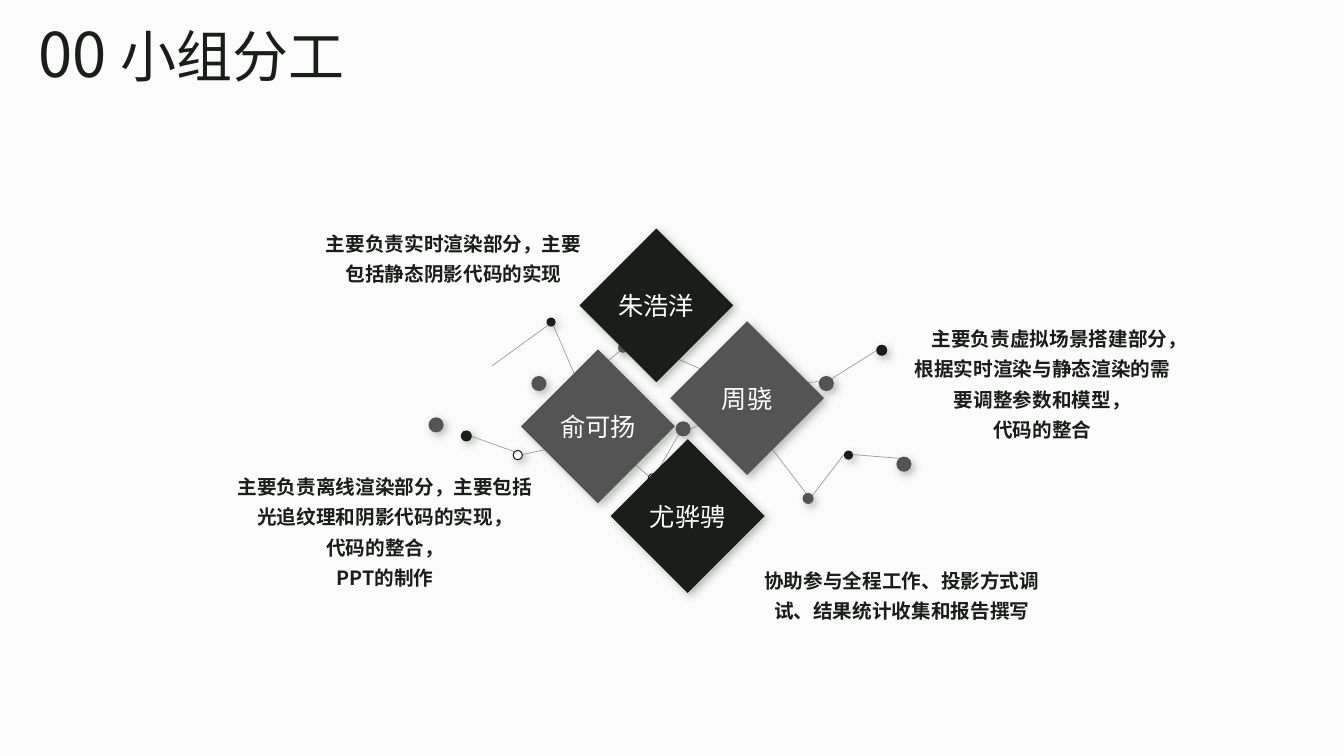
import pptx
import pptx.util
import pptx.dml.color
import pptx.enum.shapes
import pptx.enum.text
import pptx.oxml
import pptx.oxml.ns
from dataclasses import dataclass

SCALE = 9144
SHAPE = pptx.enum.shapes.MSO_SHAPE
ALIGN = pptx.enum.text.PP_ALIGN
ANCHOR = pptx.enum.text.MSO_ANCHOR
NS = pptx.oxml.ns.nsdecls("a")


@dataclass(frozen=True)
class Theme:
    font: str = "Noto Sans CJK SC"
    paper: str = "FBFBFB"
    ink: str = "1A1D1A"
    grey: str = "545454"
    white: str = "FFFFFF"
    shadow: str = "505950"
    number: int = 44
    title: int = 40
    name: int = 18
    duty: int = 14
    duty_spacing: float = 1.3


T = Theme()


def px(n):
    return pptx.util.Emu(round(n * SCALE))


def rgb(color):
    return pptx.dml.color.RGBColor.from_string(color)


def add_run(p, text, size, color, bold=False):
    r = p.add_run()
    r.text = text
    r.font.size = pptx.util.Pt(size)
    r.font.bold = bold
    r.font.name = T.font
    r.font.color.rgb = rgb(color)
    ea = pptx.oxml.parse_xml(f'<a:ea {NS} typeface="{T.font}"/>')
    r.font._element.append(ea)


def add_text_box(s, left, top, width, height):
    tf = s.shapes.add_textbox(px(left), px(top), px(width), px(height)).text_frame
    tf.word_wrap = True
    return tf


def add_shadowed(s, kind, left, top, size, fill):
    sp = s.shapes.add_shape(kind, px(left), px(top), px(size), px(size))
    sp.fill.solid()
    sp.fill.fore_color.rgb = rgb(fill)
    sp.line.fill.background()
    sp.shadow.inherit = False
    effects = sp._element.spPr.find(pptx.oxml.ns.qn("a:effectLst"))
    effects.append(pptx.oxml.parse_xml(
        f'<a:outerShdw {NS} blurRad="76200" dist="38100" dir="2700000" algn="tl" rotWithShape="0">'
        f'<a:srgbClr val="{T.shadow}"><a:alpha val="40000"/></a:srgbClr></a:outerShdw>'))
    return sp


def add_title(s, left, top, width, height):
    sp = s.shapes.title
    sp.left, sp.top, sp.width, sp.height = px(left), px(top), px(width), px(height)
    tf = sp.text_frame
    tf.auto_size = pptx.enum.text.MSO_AUTO_SIZE.NONE
    tf.vertical_anchor = ANCHOR.MIDDLE
    p = tf.paragraphs[0]
    p.alignment = ALIGN.LEFT
    add_run(p, "00 ", T.number, T.ink)
    add_run(p, "小组分工", T.title, T.ink)


def add_network(s, left, top):
    links = [
        (395, 63, 357, 66), (393, 65, 444, 33), (282, 100, 255, 113),
        (93, 136, 168, 120), (43, 118, 85, 133), (219, 158, 172, 117),
        (225, 156, 250, 113), (421, 136, 471, 140), (379, 179, 412, 136),
        (378, 179, 332, 119), (190, 33, 152, 65), (240, 38, 272, 52),
        (63, 48, 118, 8), (148, 64, 124, 8),
    ]
    for x1, y1, x2, y2 in links:
        c = s.shapes.add_connector(pptx.enum.shapes.MSO_CONNECTOR.STRAIGHT,
                                   px(left + x1), px(top + y1), px(left + x2), px(top + y2))
        c.line.width = pptx.util.Pt(0.5)
        c.line.color.rgb = rgb(T.ink)
        color = c._element.spPr.find(".//" + pptx.oxml.ns.qn("a:srgbClr"))
        color.append(pptx.oxml.parse_xml(f'<a:alpha {NS} val="41000"/>'))
        c._element.spPr.append(pptx.oxml.parse_xml(f"<a:effectLst {NS}/>"))

    dots = [
        (444, 27, 11, T.ink), (387, 58, 15, T.grey), (412, 132, 9, T.ink),
        (464, 138, 15, T.grey), (371, 174, 11, T.grey), (0, 99, 15, T.grey),
        (102, 58, 15, T.grey), (84, 132, 9, T.paper), (117, 0, 9, T.ink),
        (32, 112, 11, T.ink), (188, 25, 10, T.grey), (218, 155, 9, T.paper),
        (245, 103, 15, T.grey),
    ]
    for x, y, size, fill in dots:
        sp = add_shadowed(s, SHAPE.OVAL, left + x, top + y, size, fill)
        if fill == T.paper:
            sp.line.color.rgb = rgb(T.ink)
            sp.line.width = pptx.util.Pt(0.75)


def add_member(s, left, top, size, name, fill):
    sp = add_shadowed(s, SHAPE.RECTANGLE, left, top, size, fill)
    sp.rotation = 45
    width, height = 96, 40
    tf = add_text_box(s, left + (size - width) / 2, top + (size - height) / 2, width, height)
    tf.word_wrap = False
    tf.vertical_anchor = ANCHOR.MIDDLE
    p = tf.paragraphs[0]
    p.alignment = ALIGN.CENTER
    add_run(p, name, T.name, T.white)


def add_duty(s, left, top, width, height, lines, indent=0):
    tf = add_text_box(s, left, top, width, height)
    for i, line in enumerate(lines):
        p = tf.add_paragraph() if i else tf.paragraphs[0]
        p.alignment = ALIGN.CENTER
        p.line_spacing = T.duty_spacing
        if indent and i == 0:
            p._p.get_or_add_pPr().set("indent", str(px(indent)))
        add_run(p, line, T.duty, T.ink, True)


def build_team_slide(prs):
    s = prs.slides.add_slide(prs.slide_layouts[5])
    s.background.fill.solid()
    s.background.fill.fore_color.rgb = rgb(T.paper)
    add_title(s, 28, 7, 641, 91)
    add_network(s, 425, 315)
    for left, top, name, fill in [
        (687, 341, "周骁", T.grey), (628, 458, "尤骅骋", T.ink),
        (597, 249, "朱浩洋", T.ink), (539, 369, "俞可扬", T.grey),
    ]:
        add_member(s, left, top, 108, name, fill)
    add_duty(s, 307, 218, 286, 71, ["主要负责实时渲染部分，主要包括静态阴影代码的实现"])
    add_duty(s, 891, 312, 286, 132,
             ["主要负责虚拟场景搭建部分，根据实时渲染与静态渲染的需要调整参数和模型，", "代码的整合"],
             indent=14)
    add_duty(s, 740, 552, 309, 71, ["协助参与全程工作、投影方式调试、结果统计收集和报告撰写"])
    add_duty(s, 222, 459, 320, 132,
             ["主要负责离线渲染部分，主要包括光追纹理和阴影代码的实现，", "代码的整合，", "PPT的制作"])


def main():
    prs = pptx.Presentation()
    prs.slide_width, prs.slide_height = px(1333), px(750)
    build_team_slide(prs)
    prs.save("out.pptx")


if __name__ == "__main__":
    main()
